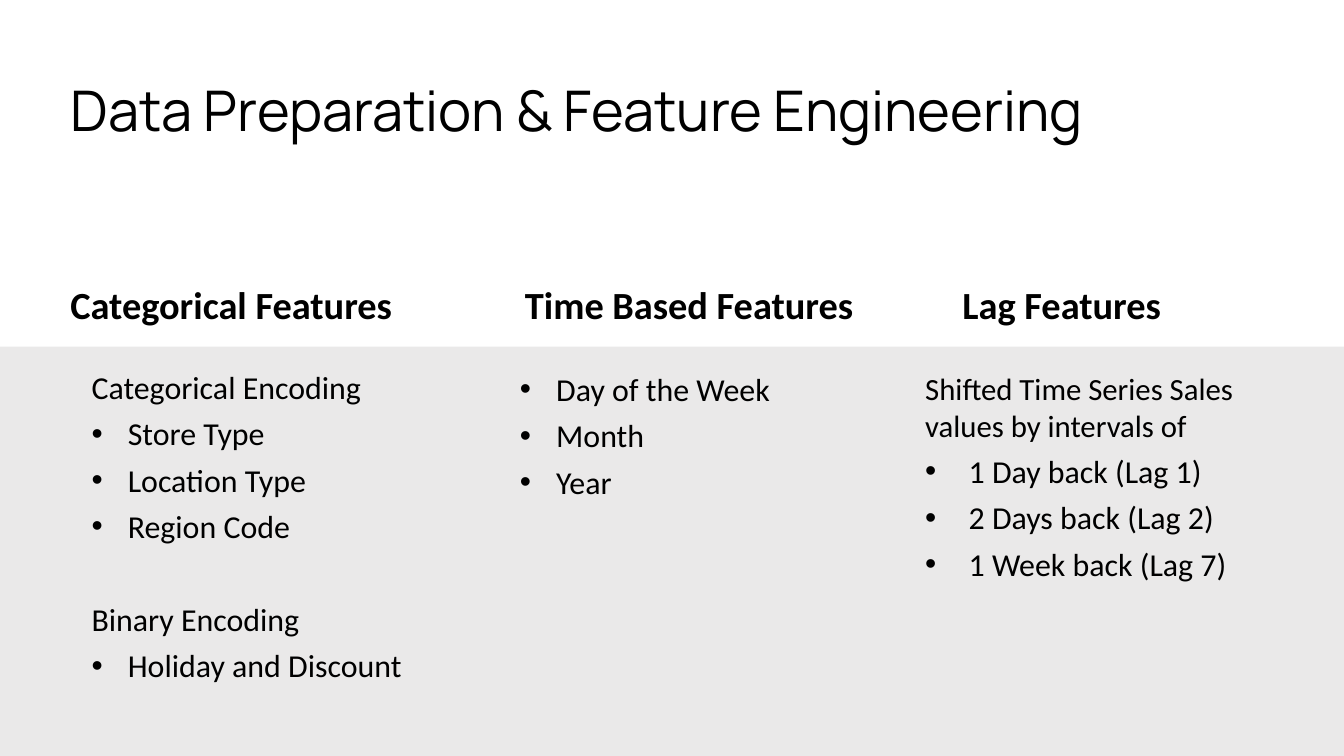
import pptx
import pptx.dml.color
import pptx.enum.shapes
import pptx.enum.text
import pptx.oxml.ns
import pptx.util
from dataclasses import dataclass
from lxml import etree

Pt = pptx.util.Pt


@dataclass(frozen=True)
class Theme:
    base: str = "F2F2F2"
    tint: str = "887A73"
    header: str = "FFFFFF"
    text: str = "000000"
    title_font: str = "Manrope"
    body_font: str = "Calibri"
    title_size: float = 40
    heading_size: float = 27.4
    body_size: float = 22.8
    intro_size: float = 22


theme = Theme()
SLIDE_WIDTH, SLIDE_HEIGHT = 960, 540
HEADER_HEIGHT = 247.7
COLUMN_WIDTH = 262.8
PARAGRAPH_GAP = 5.7
BLANK_LINE = 33.5


def add_run(paragraph, text, size, font=theme.body_font, bold=False):
    run = paragraph.add_run()
    run.text = text
    run.font.name = font
    run.font.size = Pt(size)
    run.font.bold = bold
    run.font.color.rgb = pptx.dml.color.RGBColor.from_string(theme.text)


def add_text_frame(left, top, height):
    box = slide.shapes.add_textbox(Pt(left), Pt(top), Pt(COLUMN_WIDTH), Pt(height))
    box.text_frame.word_wrap = True
    return box.text_frame


presentation = pptx.Presentation()
presentation.slide_width = Pt(SLIDE_WIDTH)
presentation.slide_height = Pt(SLIDE_HEIGHT)
slide = presentation.slides.add_slide(presentation.slide_layouts[5])

# Background layers: base, translucent tint, white header (height, colour, alpha %)
layers = [
    (SLIDE_HEIGHT, theme.base, 100),
    (SLIDE_HEIGHT, theme.tint, 7),
    (HEADER_HEIGHT, theme.header, 100),
]
for height, color, alpha in layers:
    layer = slide.shapes.add_shape(
        pptx.enum.shapes.MSO_SHAPE.RECTANGLE, 0, 0, Pt(SLIDE_WIDTH), Pt(height))
    layer.shadow.inherit = False
    layer.line.fill.background()
    layer.fill.solid()
    layer.fill.fore_color.rgb = pptx.dml.color.RGBColor.from_string(color)
    if alpha < 100:
        fill_color = layer.element.find(".//" + pptx.oxml.ns.qn("a:srgbClr"))
        etree.SubElement(fill_color, pptx.oxml.ns.qn("a:alpha"), val=str(alpha * 1000))

# Title, brought in front of the layers
title = slide.shapes.title
title.element.getparent().append(title.element)
title.left, title.top, title.width, title.height = Pt(43.2), Pt(28.8), Pt(873.4), Pt(104.4)
title.text_frame.word_wrap = True
title.text_frame.vertical_anchor = pptx.enum.text.MSO_ANCHOR.MIDDLE
paragraph = title.text_frame.paragraphs[0]
paragraph.alignment = pptx.enum.text.PP_ALIGN.LEFT
paragraph.line_spacing = 0.9
add_run(paragraph, "Data Preparation & Feature Engineering", theme.title_size, theme.title_font)

# Column headings
headings = [
    (43.2, "Categorical Features"),
    (367.9, "Time Based Features"),
    (680.4, "Lag Features"),
]
for left, heading in headings:
    paragraph = add_text_frame(left, 197.3, 67).paragraphs[0]
    paragraph.space_after = Pt(6)
    add_run(paragraph, heading, theme.heading_size, bold=True)

# Column bodies: left, top, height, bullet indent, groups of (intro, intro size, bullets)
columns = [
    (58.3, 259.2, 218.9, 25.9, [
        ("Categorical Encoding", theme.body_size,
         ["Store Type", "Location Type", "Region Code"]),
        ("Binary Encoding", theme.body_size, ["Holiday and Discount"]),
    ]),
    (364.3, 260.6, 185, 25.9, [
        (None, theme.body_size, ["Day of the Week", "Month", "Year"]),
    ]),
    (653.8, 260.6, 185, 31, [
        ("Shifted Time Series Sales values by intervals of", theme.intro_size,
         ["1 Day back (Lag 1)", "2 Days back (Lag 2)", "1 Week back (Lag 7)"]),
    ]),
]
for left, top, height, indent, groups in columns:
    text_frame = add_text_frame(left, top, height)
    lines = []
    for group_index, (intro, intro_size, bullets) in enumerate(groups):
        if intro:
            lines.append((intro, intro_size, False, BLANK_LINE if group_index else 0))
        lines += [(bullet, theme.body_size, True, 0) for bullet in bullets]

    for line_index, (text, size, bulleted, space_before) in enumerate(lines):
        paragraph = text_frame.add_paragraph() if line_index else text_frame.paragraphs[0]
        paragraph.space_before = Pt(space_before)
        paragraph.space_after = Pt(PARAGRAPH_GAP)
        add_run(paragraph, text, size)
        if bulleted:
            properties = paragraph._p.get_or_add_pPr()
            properties.set("marL", str(Pt(indent)))
            properties.set("indent", str(-Pt(indent)))
            etree.SubElement(properties, pptx.oxml.ns.qn("a:buFont"), typeface="Arial")
            etree.SubElement(properties, pptx.oxml.ns.qn("a:buChar"), char="•")

presentation.save("out.pptx")
